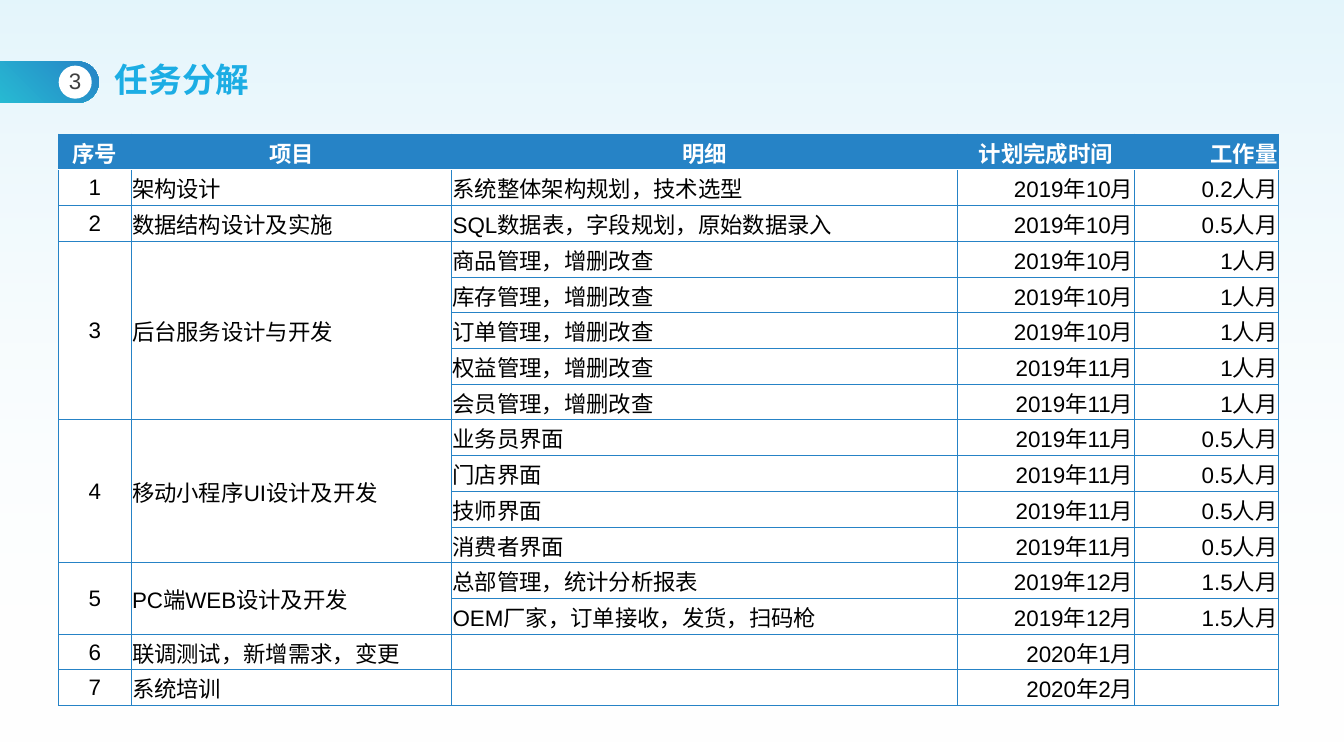
from lxml import etree
from pptx import Presentation
from pptx.dml.color import RGBColor
from pptx.enum.shapes import MSO_SHAPE
from pptx.enum.text import MSO_ANCHOR, PP_ALIGN
from pptx.oxml import parse_xml
from pptx.oxml.ns import nsdecls, qn
from pptx.util import Inches, Pt

LEFT, CENTER, RIGHT = PP_ALIGN.LEFT, PP_ALIGN.CENTER, PP_ALIGN.RIGHT
MIDDLE = MSO_ANCHOR.MIDDLE
RECTANGLE, OVAL = MSO_SHAPE.RECTANGLE, MSO_SHAPE.OVAL
ROUNDED = MSO_SHAPE.ROUNDED_RECTANGLE

COLORS = {
    "blue": "2683C6", "teal": "27CED7", "title": "1CADE4", "sky": "A4DEF4",
    "white": "FFFFFF", "number": "404040", "text": "000000",
}
FONT = "Arial"
SLIDE_WIDTH, SLIDE_HEIGHT = 13.33, 7.5

DOWNWARD = '<a:lin ang="5400000" scaled="0"/>'
FROM_TOP_RIGHT = '<a:path path="circle"><a:fillToRect l="100000" b="100000"/></a:path>'
FROM_TOP_LEFT = '<a:path path="circle"><a:fillToRect r="100000" b="100000"/></a:path>'

STREAKS = [
    [(0.97, 0), (1.31, 0), (1.19, 0.11), (0.91, 0.33), (0.78, 0.41), (0.21, 0.41),
     (0.06, 0.35), (0.05, 0.33), (0.18, 0.29), (0.59, 0.17), (0.94, 0.02)],
    [(0.99, 0), (1.27, 0), (1.35, 0.01), (1.41, 0.05), (1.3, 0.14), (0.98, 0.38),
     (0.93, 0.41), (0.21, 0.41), (0.09, 0.37), (0.01, 0.28), (0.18, 0.26),
     (0.58, 0.15), (0.97, 0)],
]

HEADINGS = ["序号", "项目", "明细", "计划完成时间", "工作量"]
HEADING_ALIGNMENTS = [CENTER, CENTER, CENTER, CENTER, RIGHT]
BODY_ALIGNMENTS = [CENTER, LEFT, LEFT, RIGHT, RIGHT]
COLUMN_WIDTHS = [0.72, 3.18, 5.02, 1.75, 1.43]
TASKS = [
    ("架构设计", [("系统整体架构规划，技术选型", "2019年10月", "0.2人月")]),
    ("数据结构设计及实施", [("SQL数据表，字段规划，原始数据录入", "2019年10月", "0.5人月")]),
    ("后台服务设计与开发", [
        ("商品管理，增删改查", "2019年10月", "1人月"),
        ("库存管理，增删改查", "2019年10月", "1人月"),
        ("订单管理，增删改查", "2019年10月", "1人月"),
        ("权益管理，增删改查", "2019年11月", "1人月"),
        ("会员管理，增删改查", "2019年11月", "1人月"),
    ]),
    ("移动小程序UI设计及开发", [
        ("业务员界面", "2019年11月", "0.5人月"),
        ("门店界面", "2019年11月", "0.5人月"),
        ("技师界面", "2019年11月", "0.5人月"),
        ("消费者界面", "2019年11月", "0.5人月"),
    ]),
    ("PC端WEB设计及开发", [
        ("总部管理，统计分析报表", "2019年12月", "1.5人月"),
        ("OEM厂家，订单接收，发货，扫码枪", "2019年12月", "1.5人月"),
    ]),
    ("联调测试，新增需求，变更", [("", "2020年1月", "")]),
    ("系统培训", [("", "2020年2月", "")]),
]


def rgb(name):
    return RGBColor.from_string(COLORS[name])


def fill_solid(shape, color):
    shape.fill.solid()
    shape.fill.fore_color.rgb = rgb(color)


def fill_gradient(shape, stops, direction):
    stop_xml = "".join(
        f'<a:gs pos="{position * 1000}"><a:srgbClr val="{COLORS[color]}">'
        f'<a:alpha val="{opacity * 1000}"/></a:srgbClr></a:gs>'
        for position, color, opacity in stops)
    geometry = shape.element.spPr.find(qn("a:custGeom"))
    if geometry is None:
        geometry = shape.element.spPr.find(qn("a:prstGeom"))
    geometry.addnext(parse_xml(
        f'<a:gradFill {nsdecls("a")} rotWithShape="1">'
        f'<a:gsLst>{stop_xml}</a:gsLst>{direction}</a:gradFill>'))


def remove_outline(shape):
    shape.shadow.inherit = False
    shape.line.fill.background()


def add_plain_shape(slide, kind, box):
    shape = slide.shapes.add_shape(kind, *map(Inches, box))
    remove_outline(shape)
    return shape


def format_paragraph(paragraph, text, size, color, alignment, bold=False):
    paragraph.text = text
    paragraph.alignment = alignment
    paragraph.font.size = Pt(size)
    for run in paragraph.runs:
        run.font.name = FONT
        run.font.size = Pt(size)
        run.font.bold = bold
        run.font.color.rgb = rgb(color)


def set_margins(target, left, top, right, bottom):
    target.margin_left, target.margin_top = Inches(left), Inches(top)
    target.margin_right, target.margin_bottom = Inches(right), Inches(bottom)


def add_label(slide, box, text, size, color, alignment, margin, bold=False):
    text_frame = slide.shapes.add_textbox(*map(Inches, box)).text_frame
    text_frame.word_wrap = False
    text_frame.vertical_anchor = MIDDLE
    set_margins(text_frame, margin, 0, margin, 0)
    paragraph = text_frame.paragraphs[0]
    format_paragraph(paragraph, text, size, color, alignment, bold)
    paragraph.line_spacing = 0.9


def add_background(slide, box):
    fill_solid(slide.background, "white")
    wash = add_plain_shape(slide, RECTANGLE, box)
    fill_gradient(wash, [(0, "sky", 30), (100, "white", 0)], DOWNWARD)


def add_header(slide, box, number, title):
    left, top, width, height = box
    tab = add_plain_shape(slide, ROUNDED, box)
    tab.adjustments[0] = 0.5
    fill_gradient(tab, [(0, "blue", 100), (100, "teal", 100)], FROM_TOP_RIGHT)

    for streak in STREAKS:
        points = [(left + x, top + y) for x, y in streak]
        builder = slide.shapes.build_freeform(*points[0], scale=Inches(1))
        builder.add_line_segments(points[1:], close=True)
        shape = builder.convert_to_shape()
        remove_outline(shape)
        fill_gradient(shape, [(0, "teal", 20), (100, "title", 18)], FROM_TOP_LEFT)

    inset = height / 10
    diameter = height - 2 * inset
    circle_box = (left + width - diameter - 0.07, top + inset, diameter, diameter)
    fill_solid(add_plain_shape(slide, OVAL, circle_box), "white")
    title_box = (left + width + 0.06, top - 0.03, 1.55, 0.46)
    add_label(slide, title_box, title, 24, "title", LEFT, 0.1, True)
    add_label(slide, circle_box, number, 16, "number", CENTER, 0)


def set_border(cell, side, color, width):
    properties = cell._tc.get_or_add_tcPr()
    line = etree.SubElement(properties, qn(f"a:{side}"), w=str(Pt(width)))
    fill = etree.SubElement(line, qn("a:solidFill"))
    etree.SubElement(fill, qn("a:srgbClr"), val=COLORS[color])


def format_cell(cell, text, alignment, is_heading, is_first_task):
    set_margins(cell, 0.01, 0.01, 0.01, 0)
    cell.vertical_anchor = MIDDLE
    format_paragraph(cell.text_frame.paragraphs[0], text, 16,
                     "white" if is_heading else "text", alignment, is_heading)
    for side in ("lnL", "lnR", "lnT", "lnB"):
        divider = (is_heading and side == "lnB") or (is_first_task and side == "lnT")
        set_border(cell, side, *(("white", 1) if divider else ("blue", 0.5)))
    fill_solid(cell, "blue" if is_heading else "white")


def add_task_table(slide, box):
    rows = [HEADINGS]
    spans = []
    for number, (project, details) in enumerate(TASKS, 1):
        spans.append((len(rows), len(rows) + len(details) - 1))
        for index, detail in enumerate(details):
            rows.append([*((str(number), project) if index == 0 else ("", "")), *detail])

    frame = slide.shapes.add_table(len(rows), len(HEADINGS), *map(Inches, box))
    table = frame.table
    table.first_row = table.horz_banding = False
    for column, width in zip(table.columns, COLUMN_WIDTHS):
        column.width = Inches(width)
    for row_index, texts in enumerate(rows):
        alignments = BODY_ALIGNMENTS if row_index else HEADING_ALIGNMENTS
        for column_index, text in enumerate(texts):
            format_cell(table.cell(row_index, column_index), text,
                        alignments[column_index], row_index == 0, row_index == 1)
    for first, last in spans:
        if last > first:
            for column_index in (0, 1):
                table.cell(first, column_index).merge(table.cell(last, column_index))


def main():
    presentation = Presentation()
    presentation.slide_width = Inches(SLIDE_WIDTH)
    presentation.slide_height = Inches(SLIDE_HEIGHT)
    slide = presentation.slides.add_slide(presentation.slide_layouts[6])
    add_background(slide, (0, 0, SLIDE_WIDTH, SLIDE_HEIGHT))
    add_header(slide, (-0.5, 0.61, 1.48, 0.41), "3", "任务分解")
    add_task_table(slide, (0.58, 1.33, sum(COLUMN_WIDTHS), 5.67))
    presentation.save("out.pptx")


if __name__ == "__main__":
    main()
